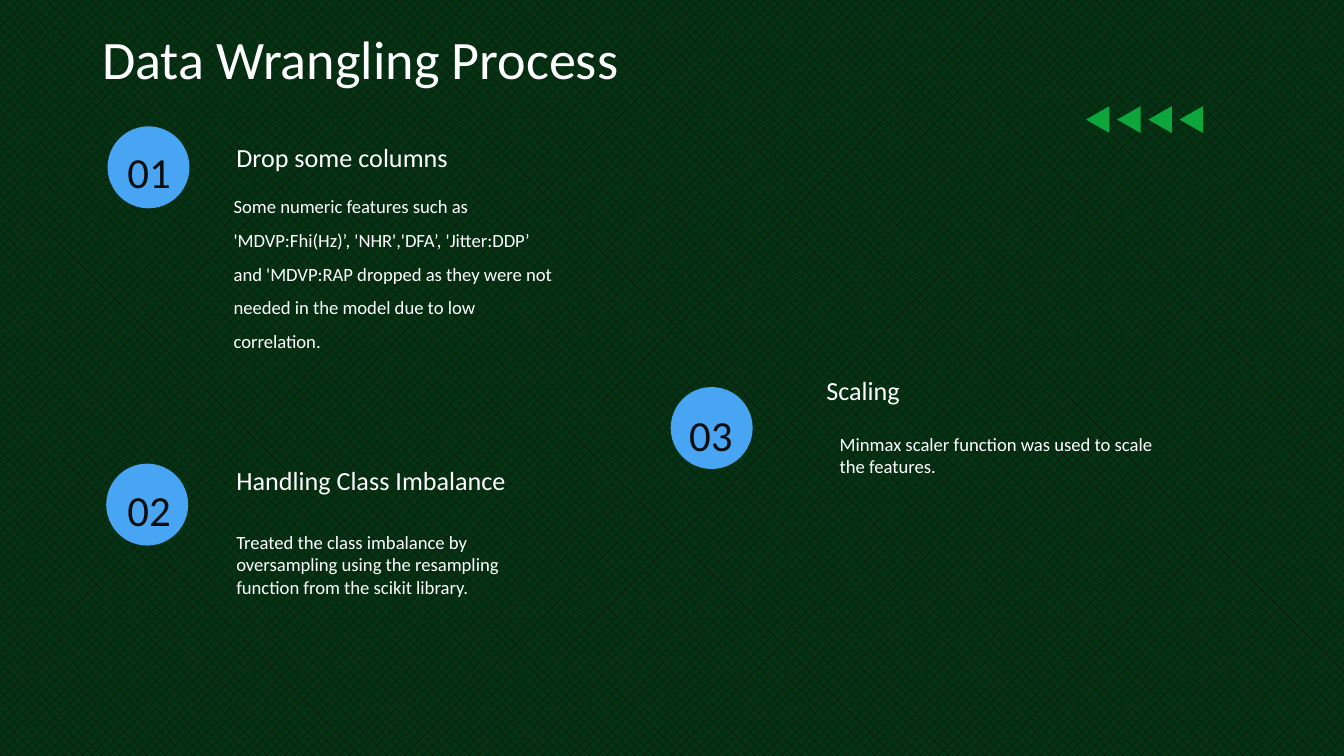
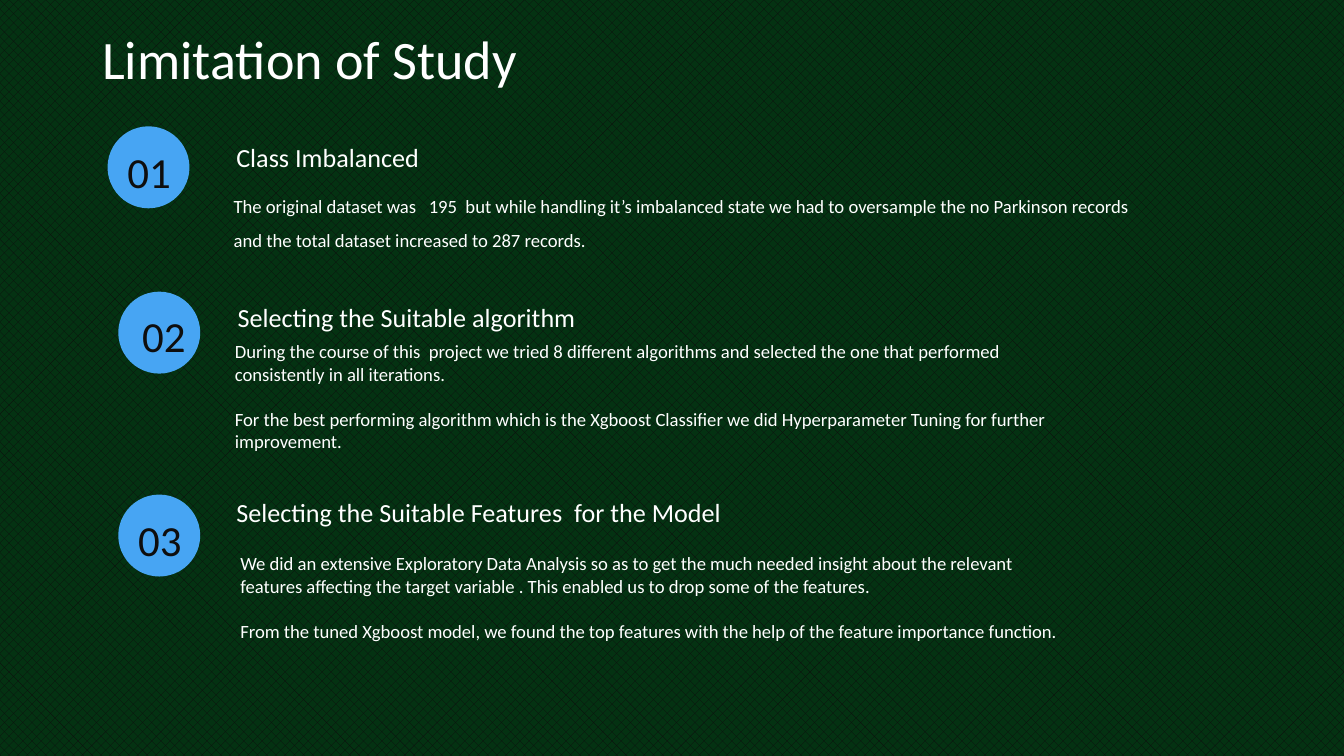
from dataclasses import dataclass

from pptx import Presentation
from pptx.dml.color import RGBColor
from pptx.enum.dml import MSO_PATTERN
from pptx.enum.shapes import MSO_SHAPE
from pptx.enum.text import MSO_ANCHOR, MSO_AUTO_SIZE, PP_ALIGN
from pptx.presentation import Presentation as Deck
from pptx.shapes.base import BaseShape
from pptx.slide import Slide
from pptx.util import Emu, Inches, Pt

WIDTH, HEIGHT = Inches(10), Inches(5.625)
UNIT = WIDTH / 100
TITLE_ONLY = 5
FONT = "Calibri"
INK, PINE, SKY, LEAF, WHITE = "0E0E0E", "043212", "47A5F3", "0DA63C", "FFFFFF"


@dataclass(frozen=True)
class Area:
    """A rectangle in units of a grid that is 100 columns wide with square cells."""

    left: float
    top: float
    width: float
    height: float

    def lengths(self) -> list[Emu]:
        """Return left, top, width and height as slide lengths."""
        return [Emu(round(side * UNIT)) for side in (self.left, self.top, self.width, self.height)]


@dataclass(frozen=True)
class Style:
    """How the paragraphs of one kind of text look."""

    size: float
    color: str = WHITE
    align: PP_ALIGN = PP_ALIGN.LEFT
    spacing: float = 1.0
    after: float = 0
    top_inset: float = 0


@dataclass(frozen=True)
class Point:
    """A numbered point: disc and number corners, heading and body areas."""

    disc: tuple[float, float]
    number: tuple[float, float]
    heading_area: Area
    heading: str
    body_area: Area
    body: str
    spacing: float = 1.0


@dataclass(frozen=True)
class Topic:
    """One slide: its title and its points in order."""

    title: str
    points: tuple[Point, ...]
    arrows: bool = False


TITLE_AREA = Area(6.6, 1.9, 84.4, 4.6)
DISC_SIZE = 6.1
NUMBER_SIZE = (9, 6.1)
ARROWS = Area(80.8, 7.9, 1.75, 2)
ARROW_COUNT, ARROW_STEP = 4, 2.32

TITLE = Style(29)
NUMBER = Style(23, INK, PP_ALIGN.CENTER, top_inset=0.2)
HEADING = Style(14, spacing=1.15, after=12)

TOPICS = (
    Topic("Data Wrangling Process", (
        Point((8, 9.4), (6.6, 8.8),
              Area(16.6, 10.2, 31.6, 3.9), "Drop some columns",
              Area(16.4, 13.7, 25.7, 15),
              "Some numeric features such as 'MDVP:Fhi(Hz)’, 'NHR','DFA’, 'Jitter:DDP’ and "
              "'MDVP:RAP dropped as they were not needed in the model due to low correlation.", 1.5),
        Point((7.9, 34.5), (6.6, 34),
              Area(16.6, 34.2, 31.6, 3.9), "Handling Class Imbalance",
              Area(16.6, 39.5, 25.7, 7.9),
              "Treated the class imbalance by oversampling using the resampling function "
              "from the scikit library."),
        Point((49.9, 28.8), (48.4, 28.4),
              Area(60.5, 27.5, 31.6, 3.9), "Scaling",
              Area(61.5, 32.2, 25.7, 6),
              "Minmax scaler function was used to scale the features."),
    ), arrows=True),
    Topic("Limitation of Study", (
        Point((8, 9.4), (6.6, 8.8),
              Area(16.6, 10.2, 31.6, 3.9), "Class Imbalanced",
              Area(16.4, 13.7, 69.1, 15),
              "The original dataset was   195  but while handling it’s imbalanced state we had to "
              "oversample the no Parkinson records and the total dataset increased to 287 records.", 1.5),
        Point((8.8, 21.7), (7.7, 21),
              Area(16.7, 22.1, 36.3, 3.9), "Selecting the Suitable algorithm",
              Area(16.5, 25.3, 64.4, 11.5),
              "During the course of this  project we tried 8 different algorithms and selected "
              "the one that performed consistently in all iterations.\n"
              "For the best performing algorithm which is the Xgboost Classifier we did "
              "Hyperparameter Tuning for further improvement."),
        Point((8.8, 36.8), (7.4, 36.2),
              Area(16.6, 36.6, 52, 3.9), "Selecting the Suitable Features  for the Model",
              Area(16.9, 41.1, 62.7, 10.4),
              "We did an extensive Exploratory Data Analysis so as to get the much needed insight "
              "about the relevant features affecting the target variable . This enabled us to drop "
              "some of the features.\n"
              "From the tuned Xgboost model, we found the top features with the help of the "
              "feature importance function."),
    )),
)


def rgb(color: str) -> RGBColor:
    """Turn a hex string into a colour."""
    return RGBColor.from_string(color)


def paint(shape: BaseShape, color: str) -> None:
    """Give a shape a flat fill without outline or shadow."""
    shape.shadow.inherit = False
    shape.fill.solid()
    shape.fill.fore_color.rgb = rgb(color)
    shape.line.fill.background()


def write(box: BaseShape, text: str, style: Style) -> None:
    """Fill a box with text and format every paragraph."""
    frame = box.text_frame
    frame.text = text
    frame.word_wrap = True
    frame.auto_size = MSO_AUTO_SIZE.NONE
    frame.vertical_anchor = MSO_ANCHOR.TOP
    frame.margin_left = frame.margin_right = frame.margin_bottom = Inches(0.1)
    frame.margin_top = Inches(style.top_inset)
    for para in frame.paragraphs:
        para.alignment = style.align
        para.line_spacing = style.spacing
        para.space_before = Pt(0)
        para.space_after = Pt(style.after)
        for span in para.runs:
            span.font.name = FONT
            span.font.size = Pt(style.size)
            span.font.color.rgb = rgb(style.color)


def add_text(page: Slide, area: Area, text: str, style: Style) -> None:
    """Add a text box over an area."""
    write(page.shapes.add_textbox(*area.lengths()), text, style)


def add_title(page: Slide, text: str) -> None:
    """Place and fill the title placeholder."""
    box = page.shapes.title
    box.left, box.top, box.width, box.height = TITLE_AREA.lengths()
    write(box, text, TITLE)


def add_point(page: Slide, index: int, point: Point) -> None:
    """Draw a numbered disc with its heading and body."""
    area = Area(*point.disc, DISC_SIZE, DISC_SIZE)
    paint(page.shapes.add_shape(MSO_SHAPE.OVAL, *area.lengths()), SKY)
    add_text(page, Area(*point.number, *NUMBER_SIZE), f"{index:02}", NUMBER)
    add_text(page, point.heading_area, point.heading, HEADING)
    body = Style(10, spacing=point.spacing, after=12.2 if "\n" in point.body else 0)
    add_text(page, point.body_area, point.body, body)


def add_arrows(page: Slide) -> None:
    """Draw the grouped row of triangles that point left."""
    group = page.shapes.add_group_shape()
    for index in range(ARROW_COUNT):
        left = ARROWS.left + index * ARROW_STEP
        right, bottom = left + ARROWS.width, ARROWS.top + ARROWS.height
        outline = group.shapes.build_freeform(round(right * UNIT), round(ARROWS.top * UNIT))
        corners = ((left, ARROWS.top + ARROWS.height / 2), (right, bottom))
        outline.add_line_segments([(round(x * UNIT), round(y * UNIT)) for x, y in corners])
        paint(outline.convert_to_shape(), LEAF)


def set_background(deck: Deck) -> None:
    """Put the dotted dark pattern on the slide master."""
    fill = deck.slide_master.background.fill
    fill.patterned()
    fill.pattern = MSO_PATTERN.PERCENT_50
    fill.fore_color.rgb = rgb(INK)
    fill.back_color.rgb = rgb(PINE)


def main() -> None:
    """Build and save the deck."""
    deck = Presentation()
    deck.slide_width, deck.slide_height = WIDTH, HEIGHT
    set_background(deck)
    for topic in TOPICS:
        page = deck.slides.add_slide(deck.slide_layouts[TITLE_ONLY])
        add_title(page, topic.title)
        for index, point in enumerate(topic.points, start=1):
            add_point(page, index, point)
        if topic.arrows:
            add_arrows(page)
    deck.save("out.pptx")


if __name__ == "__main__":
    main()
